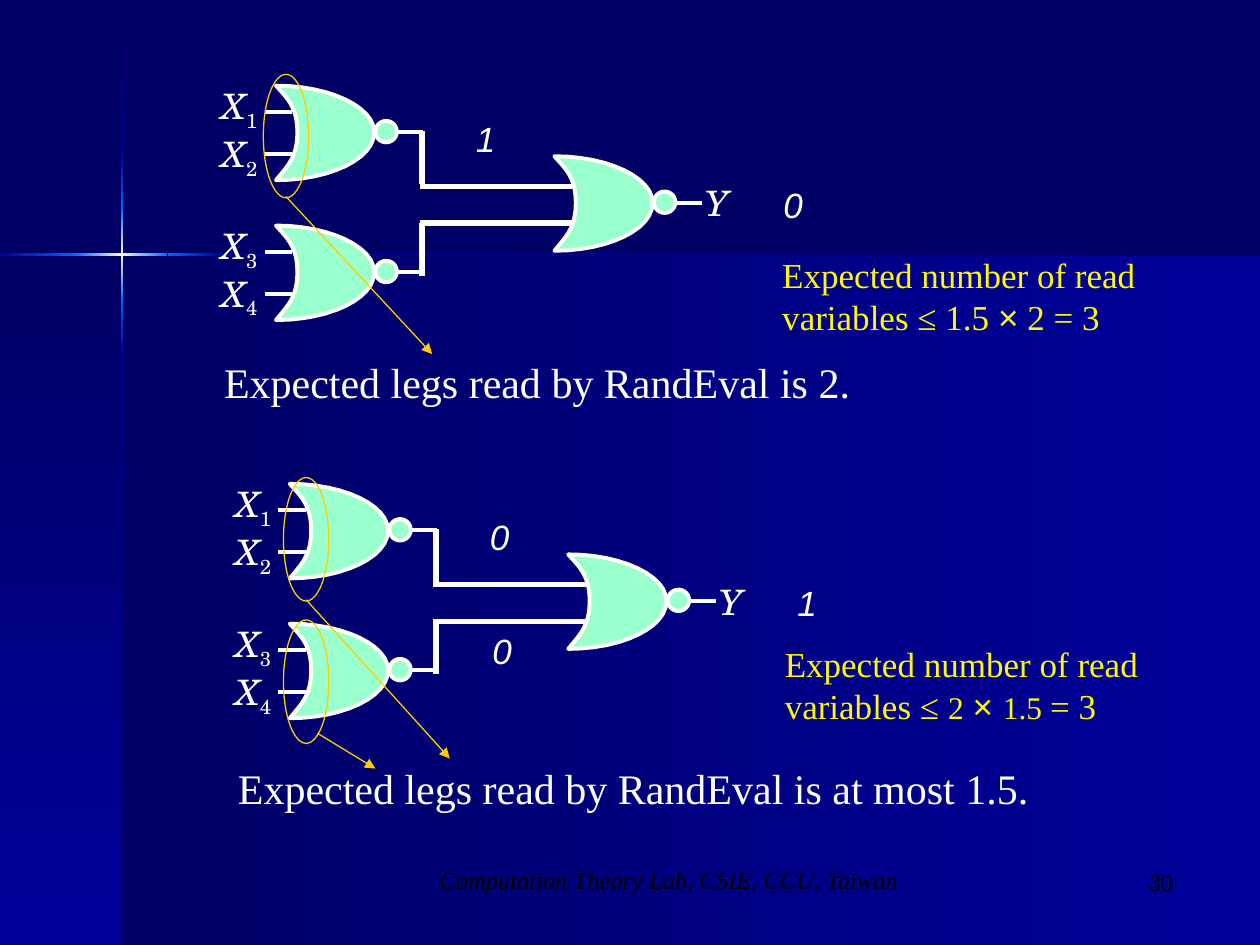
import copy

import lxml.etree
import pptx
import pptx.dml.color
import pptx.enum.shapes
import pptx.enum.text
import pptx.oxml.ns
import pptx.util

Inches = pptx.util.Inches
SHAPE = pptx.enum.shapes.MSO_SHAPE
ALIGN = pptx.enum.text.PP_ALIGN
ANCHOR = pptx.enum.text.MSO_ANCHOR
qn = pptx.oxml.ns.qn

COLORS = {"navy": "000066", "blue": "000099", "bright": "0066FF", "glow": "FFFFCC",
          "mint": "99FFCC", "white": "FFFFFF", "gold": "FFCC00", "yellow": "FFFA00",
          "black": "000000"}

# Backdrop: left, top, width, height, angle, colours spread evenly
BACKDROP = [
    (0.97, 2.02, 9.03, 5.48, 180, ("blue", "navy")),
    (0, 2.02, 0.97, 5.48, 90, ("navy", "blue")),
    (0.96, 0.01, 0.02, 1.2, 90, ("navy", "blue")),
    (0.96, 2.82, 0.02, 4.68, 90, ("blue", "navy")),
    (1.77, 2.01, 8.23, 0.02, 180, ("navy", "blue")),
    (0.96, 2.38, 0.02, 0.44, 90, ("bright", "blue")),
    (0.96, 1.21, 0.02, 0.44, 90, ("blue", "bright")),
    (0.96, 1.65, 0.02, 0.73, 90, ("bright", "glow", "bright")),
    (0, 2.01, 0.61, 0.02, 180, ("bright", "blue")),
    (1.33, 2.01, 0.44, 0.02, 180, ("blue", "bright")),
    (0.6, 2.01, 0.73, 0.02, 180, ("bright", "glow", "bright")),
]

# Circuit: gates and wires of the upper one; the lower one is shifted
CIRCUIT_SHIFTS = [(0, 0), (0.11, 3.16)]
GATES = [(2.19, 0.68, "12"), (2.19, 1.79, "34"), (4.4, 1.24, "")]
WIRES = [(3.35, 1.04, 3.35, 1.46), (3.33, 1.48, 4.54, 1.48),
         (3.33, 1.77, 4.54, 1.77), (3.35, 1.77, 3.35, 2.19)]
GATE_CURVES = [  # Bézier pieces, starting from the upper left corner
    ((0, 0), (0.09, 0.1), (0.17, 0.17), (0.17, 0.37)),
    ((0.17, 0.37), (0.17, 0.57), (0.09, 0.64), (0, 0.75)),
    ((0, 0.75), (0.43, 0.75), (0.78, 0.58), (0.78, 0.37)),
    ((0.78, 0.37), (0.78, 0.17), (0.43, 0), (0, 0)),
]
CURVE_STEPS = 12

SIGNALS = [("1", 3.68, 0.88), ("0", 6.12, 1.4),
           ("0", 3.79, 4.04), ("0", 3.81, 4.94), ("1", 6.23, 4.56)]
LEG_RINGS = [(2.09, 0.59), (2.25, 3.79), (2.25, 4.92)]
ARROWS = [(2.27, 1.56, 3.43, 2.81), (2.43, 4.76, 3.57, 6.02), (2.52, 5.82, 2.98, 6.1)]

# Formats
SERIF = {"name": "Times New Roman", "size": 20}
SANS = {"name": "Arial", "size": 20}
SMALL = {**SERIF, "size": 18}
SCHOLA = {"name": "TeX Gyre Schola", "size": 20}
VARIABLE = {**SCHOLA, "italic": True}
SIGNAL = {**SANS, "italic": True}
HEADLINE = {**SERIF, "size": 24}
FOOTER = {**SERIF, "size": 14, "italic": True}
PAGE = {"name": "Cambria", "size": 14}
LABEL_FRAME = {"word_wrap": False, "vertical_anchor": ANCHOR.MIDDLE,
               "margin_left": 0, "margin_right": 0}
STATEMENT_FRAME = {"word_wrap": True, "vertical_anchor": ANCHOR.TOP}

# Statements: box, colour, alignment, runs
STATEMENTS = [
    ((1.68, 2.78, 6.65, 0.5), "white", ALIGN.LEFT,
     [("Expected legs read by RandEval is 2.", HEADLINE)]),
    ((1.79, 6, 6.65, 0.5), "white", ALIGN.LEFT,
     [("Expected legs read by RandEval is at most 1.5.", HEADLINE)]),
    ((6.11, 1.96, 3.21, 0.77), "yellow", ALIGN.LEFT,
     [("Expected number of read variables ≤ 1.5 ", SERIF), ("×", SANS), (" 2 = 3", SERIF)]),
    ((6.13, 5.05, 3.02, 0.77), "yellow", ALIGN.LEFT,
     [("Expected number of read variables ≤ ", SERIF), ("2", SMALL), (" ", SERIF),
      ("× ", SANS), ("1.5 ", SMALL), ("= 3", SERIF)]),
    ((3.13, 6.82, 4.36, 0.5), "black", ALIGN.CENTER,
     [("Computation Theory Lab, CSIE, CCU, Taiwan", FOOTER)]),
    ((7.33, 6.83, 2.08, 0.5), "black", ALIGN.RIGHT, [("30", PAGE)]),
]


def rgb(color):
    return pptx.dml.color.RGBColor.from_string(COLORS[color])


def inches(*lengths):
    return [Inches(length) for length in lengths]


def outline(shape, fill, line, width):
    shape.shadow.inherit = False
    if fill:
        shape.fill.solid()
        shape.fill.fore_color.rgb = rgb(fill)
    else:
        shape.fill.background()
    shape.line.color.rgb = rgb(line)
    shape.line.width = pptx.util.Pt(width)


def add_band(shapes, left, top, width, height, angle, colors):
    band = shapes.add_shape(SHAPE.RECTANGLE, *inches(left, top, width, height))
    band.shadow.inherit = False
    band.line.fill.background()
    band.fill.gradient()
    band.fill.gradient_angle = 360 - angle
    stop_list = band._element.spPr.find(".//" + qn("a:gsLst"))
    for _ in colors[2:]:
        stop_list.append(copy.deepcopy(stop_list[0]))
    for i, (stop, color) in enumerate(zip(band.fill.gradient_stops, colors)):
        stop.position = i / (len(colors) - 1)
        stop.color.rgb = rgb(color)


def add_line(shapes, ends, color, width, arrow=False):
    line = shapes.add_connector(pptx.enum.shapes.MSO_CONNECTOR.STRAIGHT, *inches(*ends))
    line.line.color.rgb = rgb(color)
    line.line.width = pptx.util.Pt(width)
    if arrow:
        lxml.etree.SubElement(line.line._get_or_add_ln(), qn("a:tailEnd"), type="triangle")
    lxml.etree.SubElement(line._element.spPr, qn("a:effectLst"))


def add_text(shapes, box, paragraphs, color, align, frame_format):
    frame = shapes.add_textbox(*inches(*box)).text_frame
    for key, value in frame_format.items():
        setattr(frame, key, value)
    for i, runs in enumerate(paragraphs):
        paragraph = frame.add_paragraph() if i else frame.paragraphs[0]
        paragraph.alignment = align
        for text, style in runs:
            run = paragraph.add_run()
            run.text = text
            run.font.color.rgb = rgb(color)
            for key, value in style.items():
                if key == "baseline":
                    run._r.get_or_add_rPr().set(key, value)
                else:
                    setattr(run.font, key, pptx.util.Pt(value) if key == "size" else value)


def bezier(curve, t):
    weights = ((1 - t) ** 3, 3 * t * (1 - t) ** 2, 3 * t ** 2 * (1 - t), t ** 3)
    return [sum(w * point[axis] for w, point in zip(weights, curve)) for axis in (0, 1)]


def add_gate(shapes, left, top, inputs):
    points = [bezier(curve, step / CURVE_STEPS)
              for curve in GATE_CURVES for step in range(1, CURVE_STEPS + 1)]
    builder = shapes.build_freeform(*inches(left, top))
    builder.add_line_segments([inches(left + x, top + y) for x, y in points], close=True)
    outline(builder.convert_to_shape(), "mint", "white", 2.25)
    add_line(shapes, (left + 0.78, top + 0.37, left + 1.17, top + 0.37), "white", 2.25)
    bubble = shapes.add_shape(SHAPE.OVAL, *inches(left + 0.79, top + 0.28, 0.17, 0.17))
    outline(bubble, "mint", "white", 2.25)
    if inputs:
        for leg in (top + 0.21, top + 0.54):
            add_line(shapes, (left - 0.09, leg, left + 0.13, leg), "white", 2.25)
        subscript = {**SCHOLA, "baseline": "-25000"}
        names = [[("X", VARIABLE), (number, subscript)] for number in inputs]
        box = (left - 0.53, top - 0.06, 0.48, 0.86)
    else:
        names = [[("Y", VARIABLE)]]
        box = (left + 1.1, top + 0.15, 0.39, 0.44)
    add_text(shapes, box, names, "white", ALIGN.CENTER, LABEL_FRAME)


def main():
    deck = pptx.Presentation()
    deck.slide_width, deck.slide_height = inches(10, 7.5)
    slide = deck.slides.add_slide(deck.slide_layouts[6])
    slide.background.fill.solid()
    slide.background.fill.fore_color.rgb = rgb("navy")

    for band in BACKDROP:
        add_band(slide.shapes, *band)

    # Circuits
    for dx, dy in CIRCUIT_SHIFTS:
        circuit = slide.shapes.add_group_shape().shapes
        for left, top, inputs in GATES:
            add_gate(circuit, left + dx, top + dy, inputs)
        for x1, y1, x2, y2 in WIRES:
            add_line(circuit, (x1 + dx, y1 + dy, x2 + dx, y2 + dy), "white", 3)

    # Signal values, rings around the legs, arrows and statements
    for value, left, top in SIGNALS:
        add_text(slide.shapes, (left, top, 0.35, 0.44), [[(value, SIGNAL)]],
                 "white", ALIGN.CENTER, LABEL_FRAME)
    for left, top in LEG_RINGS:
        ring = slide.shapes.add_shape(SHAPE.OVAL, *inches(left, top, 0.36, 0.98))
        outline(ring, None, "gold", 0.75)
    for ends in ARROWS:
        add_line(slide.shapes, ends, "gold", 0.75, arrow=True)
    for box, color, align, runs in STATEMENTS:
        add_text(slide.shapes, box, [runs], color, align, STATEMENT_FRAME)

    deck.save("out.pptx")


if __name__ == "__main__":
    main()
